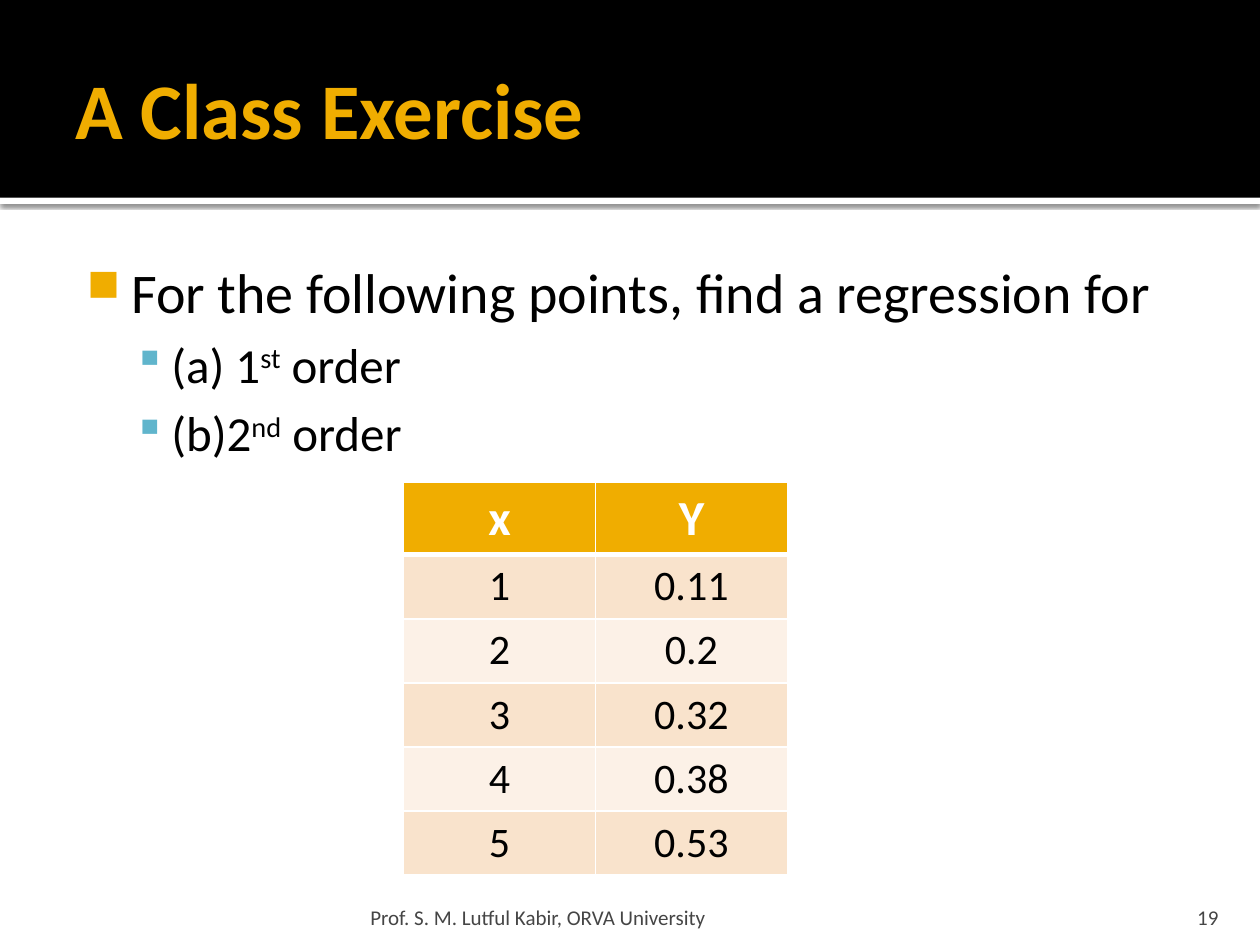
from lxml import etree
from pptx import Presentation
from pptx.dml.color import RGBColor
from pptx.enum import shapes, text
from pptx.oxml import ns
from pptx.util import Pt

COLORS = {"white": "FFFFFF", "black": "000000", "gold": "F0AD00", "blue": "60B5CC",
          "gray": "454545", "band_dark": "F9E3CC", "band_light": "FCF1E7"}
FONT = "Calibri"


def add_xml(parent, tag, **attrs):
    """Append a drawing element to parent and return it."""
    return etree.SubElement(parent, ns.qn("a:" + tag), attrs)


def style(p, size, color, bold=False):
    """Format every run of a paragraph."""
    for r in p.runs:
        r.font.name, r.font.size, r.font.bold = FONT, Pt(size), bold
        r.font.color.rgb = RGBColor.from_string(COLORS[color])


prs = Presentation()
prs.slide_width, prs.slide_height = Pt(720), Pt(540)
slide = prs.slides.add_slide(prs.slide_layouts[6])

# Header band above a white strip that casts a shadow
bands = []
for top, height, color in [(113, 3.6, "white"), (0, 113, "black")]:
    sp = slide.shapes.add_shape(shapes.MSO_SHAPE.RECTANGLE, 0, Pt(top), Pt(720), Pt(height))
    sp.shadow.inherit = False
    sp.fill.solid()
    sp.fill.fore_color.rgb = RGBColor.from_string(COLORS[color])
    sp.line.fill.background()
    bands.append(sp)
effects = bands[0]._element.spPr.find(ns.qn("a:effectLst"))
shadow = add_xml(effects, "outerShdw", blurRad=str(Pt(2.5)), dist=str(Pt(0.8)),
                 dir="5400000", algn="tl", rotWithShape="0")
add_xml(add_xml(shadow, "srgbClr", val=COLORS["black"]), "alpha", val="60000")

# Title, body, footer and page number: box, insets, anchor, alignment, text, style
TOP, MIDDLE, BOTTOM = text.MSO_ANCHOR.TOP, text.MSO_ANCHOR.MIDDLE, text.MSO_ANCHOR.BOTTOM
LEFT, CENTER, RIGHT = text.PP_ALIGN.LEFT, text.PP_ALIGN.CENTER, text.PP_ALIGN.RIGHT
boxes = [
    ((36, 12.2, 648, 98.6), (7.2, 3.6, 3.6, 3.6), MIDDLE, LEFT,
     "A Class Exercise", 45, "gold", True),
    ((36, 139.7, 648, 146.9), (4.3, 7.2, 7.2, 3.6), TOP, LEFT,
     "For the following points, find a regression for", 32, "black", False),
    ((208, 509.8, 433.4, 21.6), (3.6, 3.6, 3.6, 0), BOTTOM, LEFT,
     "Prof. S. M. Lutful Kabir, ORVA University", 12, "gray", False),
    ((645.8, 509.8, 57.6, 21.6), (7.2, 3.6, 7.2, 0), BOTTOM, RIGHT,
     "19", 12, "gray", False),
]
frames = []
for box, insets, anchor, align, words, size, color, bold in boxes:
    tf = slide.shapes.add_textbox(*map(Pt, box)).text_frame
    tf.word_wrap, tf.vertical_anchor = True, anchor
    tf.margin_left, tf.margin_top, tf.margin_right, tf.margin_bottom = map(Pt, insets)
    p = tf.paragraphs[0]
    p.text, p.alignment = words, align
    style(p, size, color, bold)
    frames.append(tf)

# Sub-items with superscript ordinals
body = frames[1]
for number, suffix in [("(a) 1", "st"), ("(b)2", "nd")]:
    p = body.add_paragraph()
    p.level, p.space_before = 1, Pt(5.6)
    for words in (number, suffix, " order"):
        p.add_run().text = words
    style(p, 28, "black")
    p.runs[1]._r.get_or_add_rPr().set("baseline", "30000")

bullets = [(34.6, -25.2, "gold", 80, "■"), (57.6, -21.6, "blue", 90, "▪")]
for p in body.paragraphs:
    margin, indent, color, percent, char = bullets[p.level]
    pPr = p._p.get_or_add_pPr()
    pPr.set("marL", str(Pt(margin)))
    pPr.set("indent", str(Pt(indent)))
    add_xml(add_xml(pPr, "buClr"), "srgbClr", val=COLORS[color])
    add_xml(pPr, "buSzPct", val=str(percent * 1000))
    add_xml(pPr, "buChar", char=char)

# Table of points
points = [("x", "Y"), ("1", "0.11"), ("2", "0.2"), ("3", "0.32"), ("4", "0.38"), ("5", "0.53")]
table = slide.shapes.add_table(len(points), 2, Pt(230.6), Pt(275.8),
                               Pt(219.4), Pt(224.2)).table
for col in table.columns:
    col.width = Pt(109.7)
for i, values in enumerate(points):
    table.rows[i].height = Pt(41.2 if i == 0 else 36.6)
    fill = "gold" if i == 0 else ("band_light", "band_dark")[i % 2]
    for j, value in enumerate(values):
        cell = table.cell(i, j)
        tcPr = cell._tc.get_or_add_tcPr()
        for side in "LRTB":
            thick = (i, side) in [(0, "B"), (1, "T")]
            ln = add_xml(tcPr, "ln" + side, w=str(Pt(3 if thick else 1)))
            add_xml(add_xml(ln, "solidFill"), "srgbClr", val=COLORS["white"])
        cell.fill.solid()
        cell.fill.fore_color.rgb = RGBColor.from_string(COLORS[fill])
        p = cell.text_frame.paragraphs[0]
        p.text, p.alignment = value, CENTER
        if i == 0:
            style(p, 28, "white", True)
        else:
            style(p, 24, "black")

prs.save("out.pptx")
